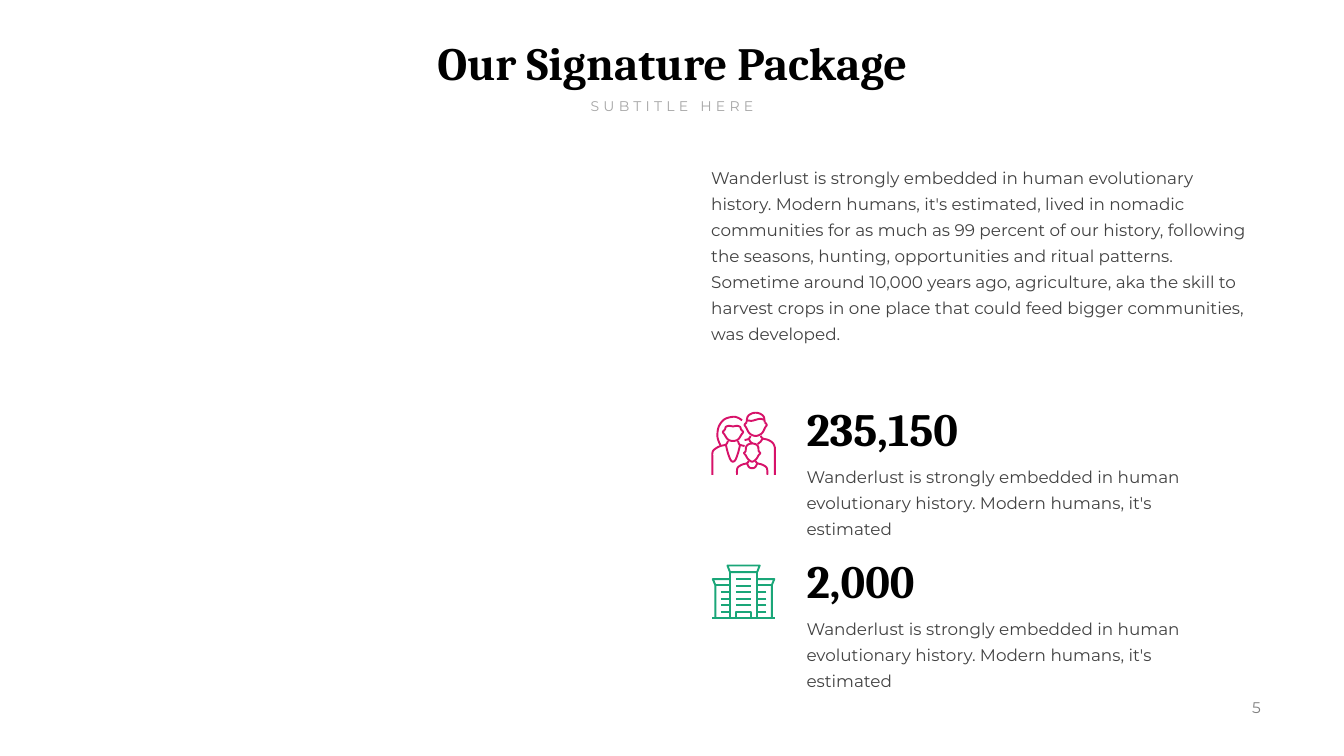
from pptx import Presentation
from pptx.dml.color import RGBColor
from pptx.enum.text import MSO_ANCHOR, MSO_AUTO_SIZE, PP_ALIGN
from pptx.util import Pt

LEFT, CENTER, RIGHT = PP_ALIGN.LEFT, PP_ALIGN.CENTER, PP_ALIGN.RIGHT
TOP, MIDDLE = MSO_ANCHOR.TOP, MSO_ANCHOR.MIDDLE
GROW = MSO_AUTO_SIZE.SHAPE_TO_FIT_TEXT

PX = 9144
SERIF, SANS = "Cambria", "Montserrat"
BLACK = RGBColor(0x00, 0x00, 0x00)
BODY = RGBColor(0x42, 0x42, 0x42)
SUBTITLE = RGBColor(0xA6, 0xA6, 0xA6)
PAGE = RGBColor(0x80, 0x80, 0x80)
PINK = RGBColor(0xD7, 0x12, 0x69)
GREEN = RGBColor(0x1A, 0xA6, 0x78)

INTRO = (
    "Wanderlust is strongly embedded in human evolutionary history. "
    "Modern humans, it's estimated, lived in nomadic communities for as much as 99 percent "
    "of our history, following the seasons, hunting, opportunities and ritual "
    "patterns. Sometime around 10,000 years ago, agriculture, aka the skill to harvest crops "
    "in one place that could feed bigger communities, was developed."
)
FACT = "Wanderlust is strongly embedded in human evolutionary history. Modern humans, it's estimated"


def mirror(points, axis):
    return [(2 * axis - x, y) for x, y in points]


def both_sides(strokes, axis):
    return strokes + [mirror(stroke, axis) for stroke in strokes]


def closed(half, axis):
    return half + mirror(half, axis)[-2:0:-1] + half[:1]


def smooth(points, steps=6):
    padded = [points[0], *points, points[-1]]
    if points[0] == points[-1]:
        padded = [points[-2], *points, points[1]]
    curve = [points[0]]
    for a, b, c, d in zip(padded, padded[1:], padded[2:], padded[3:]):
        for step in range(1, steps + 1):
            t = step / steps
            curve.append(tuple(
                b[i] + t * (c[i] - a[i]) / 2
                + t * t * (2 * a[i] - 5 * b[i] + 4 * c[i] - d[i]) / 2
                + t ** 3 * (3 * b[i] - a[i] - 3 * c[i] + d[i]) / 2
                for i in (0, 1)))
    return curve


WINDOW_ROWS = [29 + 13 * row for row in range(6)]
BUILDING = [
    [(2, 107), (126, 107)],
    [(32, 2), (96, 2), (91, 15), (37, 15), (32, 2)],
    [(49, 107), (49, 94), (79, 94), (79, 107)],
    *[[(49, y), (79, y)] for y in WINDOW_ROWS[:5]],
    *both_sides([
        [(37, 15), (37, 107)],
        [(8, 107), (8, 41), (3, 29), (37, 29)],
        [(8, 41), (37, 41)],
        *[[(19, y), (37, y)] for y in WINDOW_ROWS[2:]],
    ], 64),
]

MAN = [
    [(70, 21), (72, 10), (79, 4), (88, 2), (97, 4), (104, 10), (106, 21)],
    [(71, 17), (80, 18), (88, 16), (97, 14), (105, 16)],
    [(70, 21), (66, 26), (69, 31), (76, 43), (88, 48), (100, 43), (107, 31), (110, 26), (106, 21)],
    [(78, 48), (74, 54), (66, 56)],
    [(98, 48), (102, 53), (113, 56), (122, 62), (126, 71), (126, 78), (126, 125)],
    [(75, 54), (77, 59), (82, 63)],
    [(101, 54), (98, 59), (92, 64)],
]
WOMAN = [
    [(18, 66), (14, 57), (12, 46), (15, 29), (26, 15), (43, 10), (53, 12), (61, 17)],
    closed([(43, 29), (35, 28), (29, 30), (27, 35), (23, 40), (26, 45), (33, 55), (43, 58)], 43),
    [(33, 58), (29, 65), (18, 68), (10, 72), (4, 77), (2, 83), (2, 90), (2, 125)],
    [(53, 58), (56, 65), (66, 68)],
    [(29, 66), (33, 82), (38, 95), (43, 99), (48, 95), (53, 82), (57, 66)],
]
CHILD = [
    closed([(81, 63), (73, 65), (69, 70), (68, 78), (65, 82), (68, 86), (73, 94), (81, 99)], 81),
    [(71, 103), (75, 110), (81, 112), (87, 110), (91, 103)],
    *both_sides([[(74, 98), (71, 102), (61, 105), (53, 110), (51, 116), (51, 125)]], 81),
]
FAMILY = [smooth(stroke) for stroke in MAN + WOMAN + CHILD]

FACTS = [
    ("235,150", 362, FAMILY, PINK, 817),
    ("2,000", 258, BUILDING, GREEN, 1120),
]
FACT_LEFT, FACT_TOP, FACT_PITCH = 1590, 788, 302
ICON_LEFT = 1411


def write(shape, text, box, font, size, color, align=LEFT, anchor=TOP,
          wrap=False, bold=False, line=None):
    shape.left, shape.top, shape.width, shape.height = (value * PX for value in box)
    frame = shape.text_frame
    frame.text = text
    frame.word_wrap = wrap
    frame.auto_size = GROW
    frame.vertical_anchor = anchor
    paragraph = frame.paragraphs[0]
    paragraph.alignment = align
    paragraph.line_spacing = Pt(line) if line else 1.0
    paragraph.font.name = font
    paragraph.font.size = Pt(size)
    paragraph.font.bold = bold
    paragraph.font.color.rgb = color
    return paragraph


def add_text(slide, *arguments, **options):
    return write(slide.shapes.add_textbox(0, 0, 0, 0), *arguments, **options)


def add_icon(slide, strokes, left, top, color):
    placed = [[((left + x) * PX, (top + y) * PX) for x, y in stroke] for stroke in strokes]
    builder = slide.shapes.build_freeform(*placed[0][0])
    for index, stroke in enumerate(placed):
        if index:
            builder.move_to(*stroke[0])
        builder.add_line_segments(stroke[1:], close=False)
    icon = builder.convert_to_shape()
    icon.shadow.inherit = False
    icon.fill.background()
    icon.line.color.rgb = color
    icon.line.width = Pt(2.75)


def main():
    presentation = Presentation()
    presentation.slide_width = 2666 * PX
    presentation.slide_height = 1500 * PX
    slide = presentation.slides.add_slide(presentation.slide_layouts[5])

    write(slide.shapes.title, "Our Signature Package", (818, 63, 1031, 121),
          SERIF, 66, BLACK, align=CENTER, bold=True)
    subtitle = add_text(slide, "SUBTITLE HERE", (1155, 188, 356, 44),
                        SANS, 20, SUBTITLE, align=CENTER)
    subtitle.runs[0].font._element.set("spc", "600")
    add_text(slide, INTRO, (1401, 317, 1099, 317), SANS, 24, BODY, wrap=True, line=37)

    for index, (number, width, strokes, color, icon_top) in enumerate(FACTS):
        top = FACT_TOP + index * FACT_PITCH
        add_text(slide, number, (FACT_LEFT, top, width, 121),
                 SERIF, 66, BLACK, anchor=MIDDLE, bold=True)
        add_text(slide, FACT, (FACT_LEFT, top + 122, 880, 109),
                 SANS, 24, BODY, wrap=True, line=37)
        add_icon(slide, strokes, ICON_LEFT, icon_top, color)

    add_text(slide, "5", (2451, 1380, 60, 47), SANS, 22, PAGE, align=RIGHT, anchor=MIDDLE)
    presentation.save("out.pptx")


if __name__ == "__main__":
    main()
